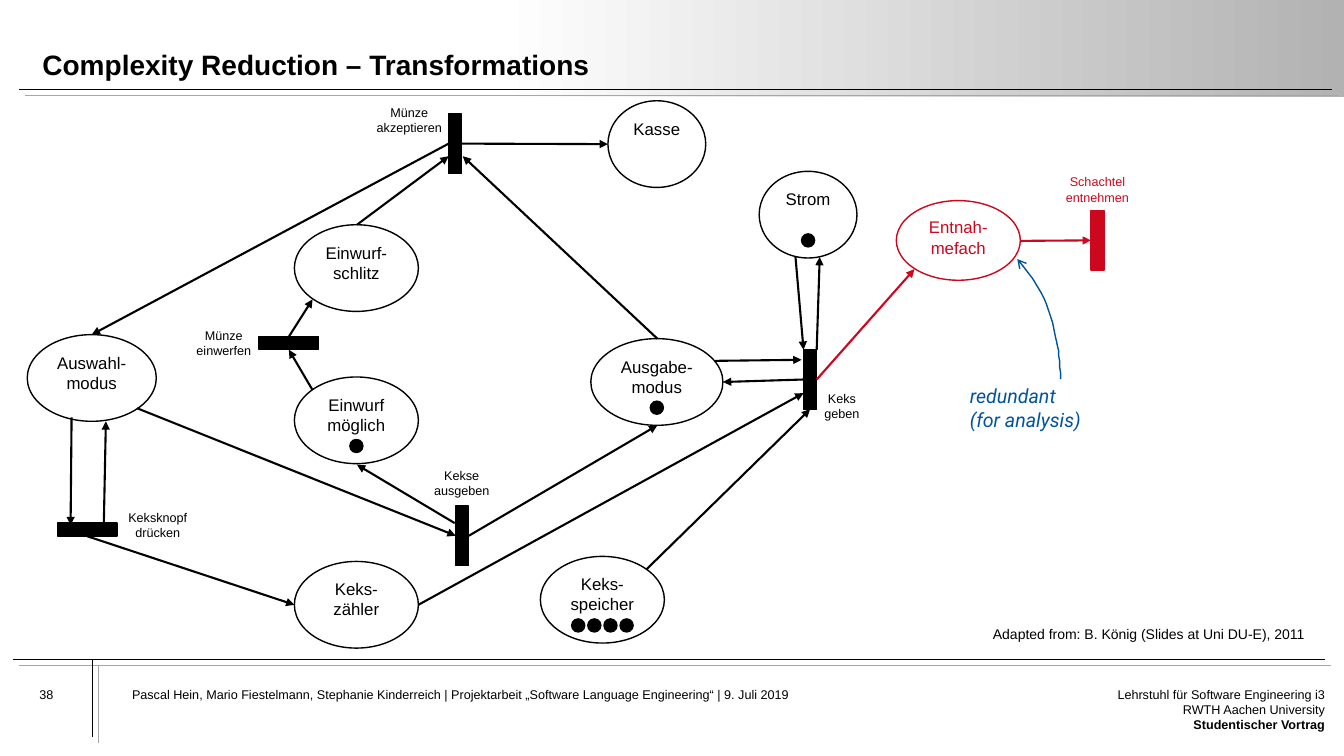
"""Builds a slide with a Petri net of a cookie machine and its redundant part."""
from dataclasses import dataclass

from lxml import etree
from pptx import Presentation
from pptx import util as u
from pptx.dml.color import RGBColor
from pptx.enum import shapes, text
from pptx.oxml.ns import qn

SCALE = 9144
COLOURS = {
    "black": "000000", "white": "FFFFFF", "silver": "B2B2B2",
    "grey": "A6A6A6", "red": "CC071E", "blue": "00549F",
}
TOKEN, TOKEN_PITCH, TOKEN_DROP = 13, 16, 62
LEFT, CENTER, RIGHT = text.PP_ALIGN.LEFT, text.PP_ALIGN.CENTER, text.PP_ALIGN.RIGHT
TOP_SIDE, LEFT_SIDE, BOTTOM_SIDE, RIGHT_SIDE = range(4)
End = tuple[str | int, int]


@dataclass
class Place:
    x: int
    y: int
    w: int
    h: int
    name: str
    tokens: int = 0
    colour: str = "black"


@dataclass
class Bar:
    x: int
    y: int
    upright: bool = True
    colour: str = "black"


@dataclass
class Arc:
    begin: End
    end: End
    colour: str = "black"


@dataclass
class Label:
    x: int
    y: int
    w: int
    h: int
    words: str
    size: int = 9
    align: text.PP_ALIGN = CENTER
    colour: str = "black"
    font: str = "Arial"
    italic: bool = False
    inset: bool = True
    wrap: bool = True


PLACES = [
    Place(27, 332, 128, 86, "Auswahl-modus"),
    Place(292, 223, 123, 86, "Einwurf-schlitz"),
    Place(603, 100, 97, 86, "Kasse"),
    Place(292, 557, 123, 86, "Keks-\nzähler"),
    Place(586, 336, 131, 86, "Ausgabe-modus", 1),
    Place(536, 552, 123, 86, "Keks-speicher", 4),
    Place(753, 170, 97, 86, "Strom", 1),
    Place(292, 374, 123, 86, "Einwurf möglich", 1),
    Place(889, 199, 123, 79, "Entnah-mefach", colour="red"),
]
BARS = {
    "drücken": Bar(57, 519, upright=False),
    "akzeptieren": Bar(445, 113),
    "einwerfen": Bar(257, 334, upright=False),
    "ausgeben": Bar(452, 502),
    "geben": Bar(797, 347),
    "entnehmen": Bar(1082, 209, colour="red"),
}
ARCS = [
    Arc(("akzeptieren", LEFT_SIDE), (91, 332)),
    Arc((652, 336), (459, 155)),
    Arc(("ausgeben", RIGHT_SIDE), (652, 422)),
    Arc((136, 405), ("ausgeben", LEFT_SIDE)),
    Arc((310, 387), ("einwerfen", BOTTOM_SIDE)),
    Arc(("einwerfen", TOP_SIDE), (310, 297)),
    Arc((451, 519), (354, 461)),
    Arc((354, 223), (445, 155)),
    Arc((71, 414), (70, 521)),
    Arc((103, 519), (105, 418)),
    Arc(("drücken", BOTTOM_SIDE), (292, 600)),
    Arc(("akzeptieren", RIGHT_SIDE), (603, 143)),
    Arc((789, 255), (797, 347)),
    Arc((709, 358), (795, 357)),
    Arc(("geben", LEFT_SIDE), (717, 379)),
    Arc((415, 600), (797, 390)),
    Arc((641, 565), ("geben", BOTTOM_SIDE)),
    Arc((810, 347), (813, 255)),
    Arc((1012, 239), ("entnehmen", LEFT_SIDE), "red"),
    Arc(("geben", RIGHT_SIDE), (907, 267), "red"),
]
LABELS = [
    Label(363, 99, 86, 40, "Münze akzeptieren"),
    Label(179, 320, 86, 40, "Münze einwerfen"),
    Label(415, 459, 86, 40, "Kekse ausgeben"),
    Label(115, 501, 83, 40, "Keksknopf drücken"),
    Label(797, 383, 76, 40, "Keks geben"),
    Label(1040, 168, 97, 40, "Schachtel entnehmen", colour="red"),
    Label(975, 616, 333, 27, "Adapted from: B. König (Slides at Uni DU-E), 2011", 10, LEFT, wrap=False),
    Label(952, 376, 203, 57, "redundant\n(for analysis)", 14, LEFT, "blue", "Roboto", True),
    Label(39, 681, 80, 43, "38", align=LEFT, inset=False),
    Label(131, 681, 766, 69, "Pascal Hein, Mario Fiestelmann, Stephanie Kinderreich | Projektarbeit "
          "„Software Language Engineering“ | 9. Juli 2019", align=LEFT, inset=False),
]
CHAIR = Label(1099, 681, 215, 69, "Lehrstuhl für Software Engineering i3\nRWTH Aachen University\n"
              "Studentischer Vortrag", align=RIGHT, inset=False)
RULES = [((19, 89), (1321, 89)), ((13, 654), (1314, 654)), ((92, 654), (92, 731))]
RULE_SHADE = 6
CURVES = [
    ((1052, 376), (1050, 349), (1049, 338), (1042, 314)),
    ((1042, 314), (1037, 290), (1018, 268), (1009, 257)),
]


def px(n: float) -> int:
    return round(n * SCALE)


def rgb(name: str) -> RGBColor:
    return RGBColor.from_string(COLOURS[name])


def outline(sp, colour: str, width: float, head: str = "") -> None:
    sp.line.color.rgb = rgb(colour)
    sp.line.width = u.Pt(width)
    if head:
        etree.SubElement(sp.element.spPr.find(qn("a:ln")), qn("a:tailEnd"), type=head)


def write(tf, words: str, align: text.PP_ALIGN, formats: dict, colour: str) -> None:
    tf.text = words
    for p in tf.paragraphs:
        p.alignment = align
        for r in p.runs:
            for key, value in formats.items():
                setattr(r.font, key, value)
            r.font.color.rgb = rgb(colour)


def clear_insets(tf) -> None:
    for side in ("left", "top", "right", "bottom"):
        setattr(tf, f"margin_{side}", 0)


def add_preset(s, kind, x: float, y: float, w: int, h: int, colour: str, filled: bool):
    sp = s.shapes.add_shape(kind, px(x), px(y), px(w), px(h))
    sp.shadow.inherit = False
    if filled:
        sp.fill.solid()
        sp.fill.fore_color.rgb = rgb(colour)
    else:
        sp.fill.background()
    outline(sp, colour, 1)
    return sp


def add_place(s, place: Place) -> None:
    oval = shapes.MSO_SHAPE.OVAL
    sp = add_preset(s, oval, place.x, place.y, place.w, place.h, place.colour, False)
    sp.text_frame.vertical_anchor = text.MSO_ANCHOR.TOP
    write(sp.text_frame, place.name, CENTER, {"size": u.Pt(12), "name": "Arial"}, place.colour)
    start = place.x + (place.w - TOKEN - TOKEN_PITCH * (place.tokens - 1)) / 2
    for i in range(place.tokens):
        add_preset(s, oval, start + i * TOKEN_PITCH, place.y + TOKEN_DROP, TOKEN, TOKEN, "black", True)


def add_bar(s, bar: Bar):
    w, h = (13, 59) if bar.upright else (59, 13)
    return add_preset(s, shapes.MSO_SHAPE.RECTANGLE, bar.x, bar.y, w, h, bar.colour, True)


def add_line(s, begin: End, end: End, colour: str, width: float, bars: dict, head: str = "") -> None:
    points = [(0, 0) if isinstance(e[0], str) else e for e in (begin, end)]
    sp = s.shapes.add_connector(shapes.MSO_CONNECTOR.STRAIGHT, *[px(n) for xy in points for n in xy])
    for e, join in ((begin, sp.begin_connect), (end, sp.end_connect)):
        if isinstance(e[0], str):
            join(bars[e[0]], e[1])
    outline(sp, colour, width, head)
    etree.SubElement(sp.element.spPr, qn("a:effectLst"))


def add_label(s, label: Label):
    sp = s.shapes.add_textbox(px(label.x), px(label.y), px(label.w), px(label.h))
    tf = sp.text_frame
    tf.word_wrap = label.wrap
    if not label.inset:
        clear_insets(tf)
    formats = {"size": u.Pt(label.size), "name": label.font, "italic": label.italic}
    write(tf, label.words, label.align, formats, label.colour)
    return tf


def add_pointer(s, steps: int = 12) -> None:
    points = [CURVES[0][0]]
    for a, b, c, d in CURVES:
        for t in (i / steps for i in range(1, steps + 1)):
            k = ((1 - t) ** 3, 3 * t * (1 - t) ** 2, 3 * t * t * (1 - t), t ** 3)
            points.append(tuple(sum(f * q[n] for f, q in zip(k, (a, b, c, d))) for n in (0, 1)))
    fb = s.shapes.build_freeform(*points[0], scale=SCALE)
    fb.add_line_segments(points[1:], close=False)
    sp = fb.convert_to_shape()
    sp.shadow.inherit = False
    sp.fill.background()
    outline(sp, "blue", 1, "arrow")


def add_header(s) -> None:
    band = add_preset(s, shapes.MSO_SHAPE.RECTANGLE, 493, 0, 840, 96, "silver", True)
    band.line.fill.background()
    band.fill.gradient()
    band.fill.gradient_angle = 0
    for stop, colour in zip(band.fill.gradient_stops, ("white", "silver")):
        stop.color.rgb = rgb(colour)
    title = s.shapes.title
    title.element.getparent().append(title.element)
    for key, n in {"left": 42, "top": 22, "width": 1256, "height": 59}.items():
        setattr(title, key, px(n))
    tf = title.text_frame
    clear_insets(tf)
    tf.auto_size = text.MSO_AUTO_SIZE.NONE
    tf.vertical_anchor = text.MSO_ANCHOR.BOTTOM
    formats = {"size": u.Pt(20), "name": "Arial", "bold": True}
    write(tf, "Complexity Reduction – Transformations", LEFT, formats, "black")
    tf.paragraphs[0].line_spacing = 0.9


def main() -> None:
    prs = Presentation()
    prs.slide_width, prs.slide_height = px(1333), px(750)
    s = prs.slides.add_slide(prs.slide_layouts[5])
    add_header(s)
    for begin, end in RULES:
        for colour, shift in (("black", 0), ("grey", RULE_SHADE)):
            ends = [(x + shift, y + shift) for x, y in (begin, end)]
            add_line(s, *ends, colour, 0.5, {})
    for place in PLACES:
        add_place(s, place)
    bars = {name: add_bar(s, bar) for name, bar in BARS.items()}
    for arc in ARCS:
        add_line(s, arc.begin, arc.end, arc.colour, 1.5, bars, "triangle")
    for label in LABELS:
        add_label(s, label)
    add_label(s, CHAIR).paragraphs[-1].runs[0].font.bold = True
    add_pointer(s)
    prs.save("out.pptx")


if __name__ == "__main__":
    main()
